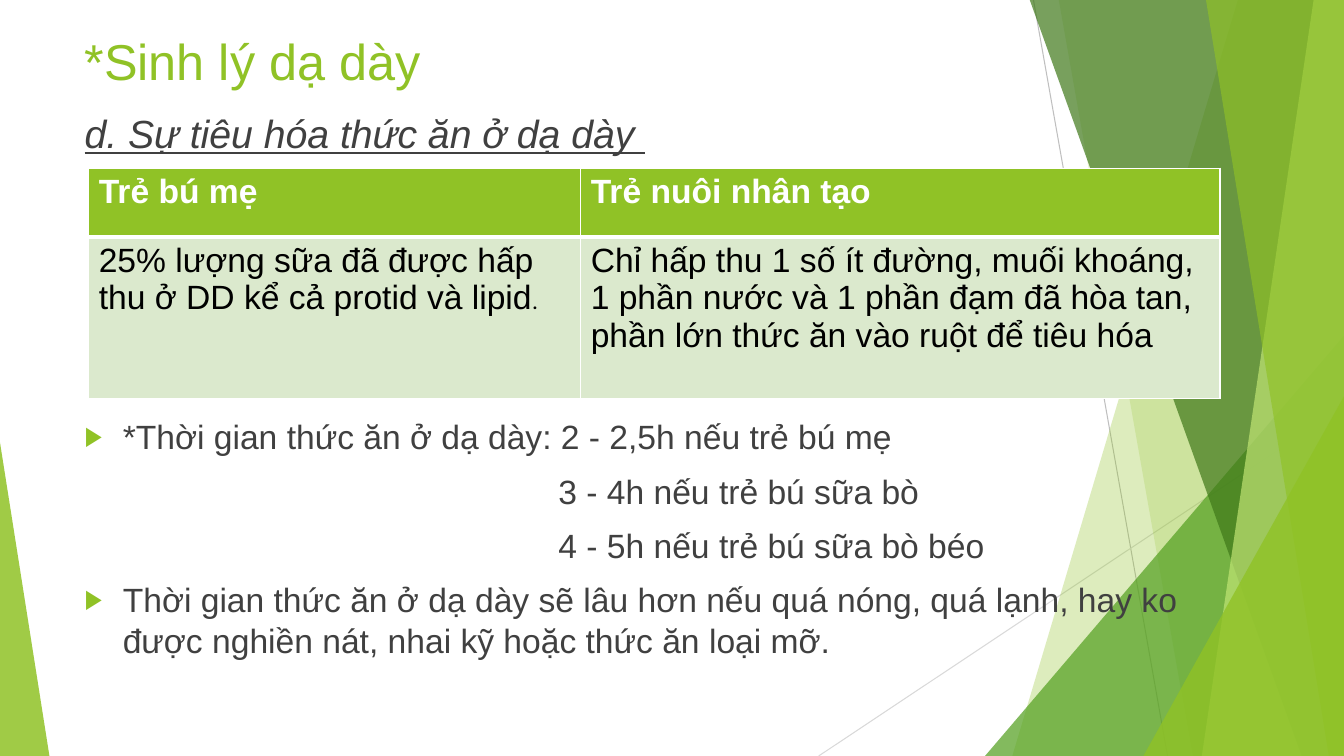
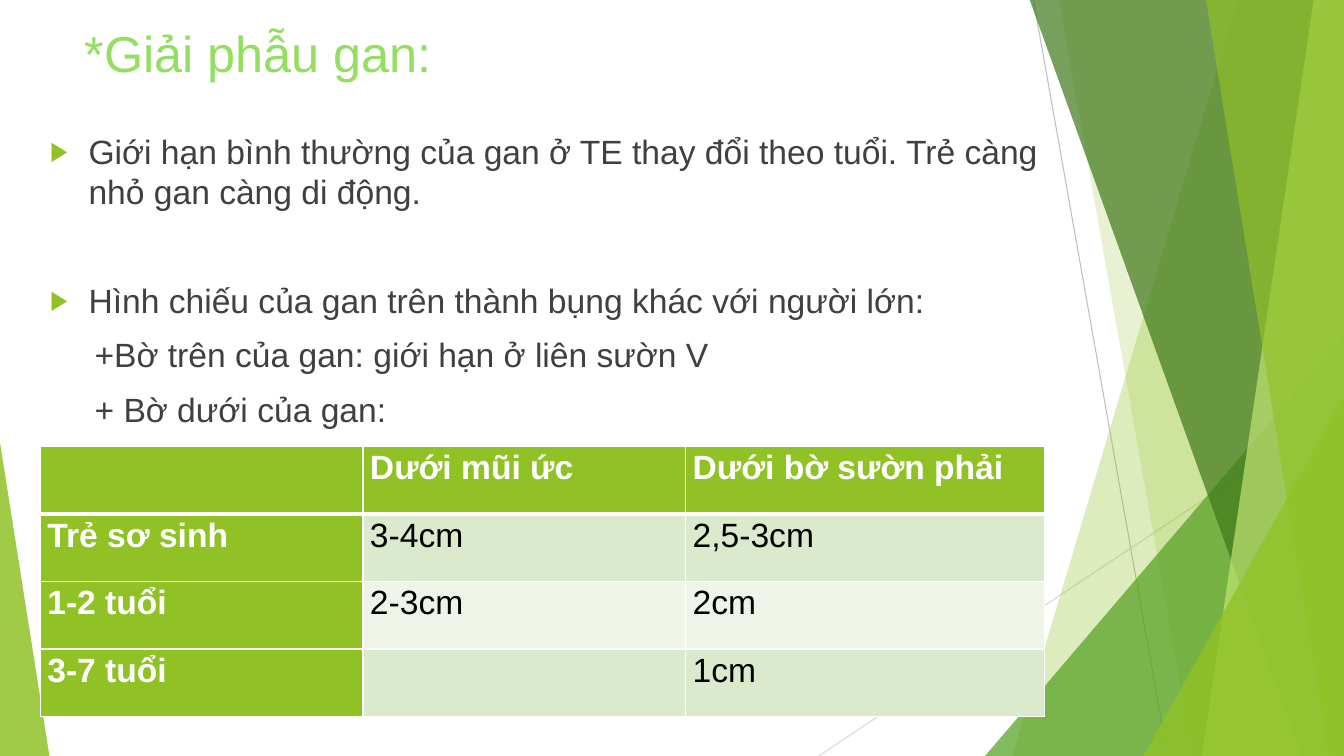
from dataclasses import dataclass

from lxml.etree import SubElement as Sub
from pptx import Presentation
from pptx.dml.color import RGBColor as Rgb
from pptx.enum.shapes import MSO_CONNECTOR as Conn, MSO_SHAPE as Kind
from pptx.enum.text import MSO_ANCHOR as Anchor
from pptx.oxml.ns import qn
from pptx.util import Inches, Pt

HUES = {
    "lime": "90C226", "leaf": "54A021", "moss": "3F7819", "pale": "C0E474",
    "mint": "94DE61", "ink": "404040", "black": "000000", "white": "FFFFFF",
    "tint": "DBE9CD", "haze": "EEF4E8", "gray": "BFBFBF", "mist": "D9D9D9",
}
WIDE, HIGH = 13.33, 7.5


@dataclass
class Band:
    """Slanted strip that reaches the right edge of the slide."""
    top: float
    foot: float
    hue: str
    alpha: int


@dataclass
class Wedge:
    """Triangle that stands on the foot of the slide."""
    left: float
    top: float
    width: float
    peak: float
    hue: str
    alpha: int


@dataclass
class Run:
    text: str
    size: float = 24
    hue: str = "ink"
    bold: bool = False
    slant: bool = False
    under: bool = False
    font: str = "Arial"


@dataclass
class Para:
    runs: list[Run]
    left: float = 0
    first: float = 0
    gap: float = 10
    mark: bool = False
    pitch: float | None = None


@dataclass
class Grid:
    left: float
    top: float
    cols: list[float]
    rows: list[float]
    cells: list[list[list[Run]]]
    inset: tuple[float, float]
    side: bool = False
    pitch: float | None = None


RAYS = [(10.25, 0, 11.58, HIGH, "gray"), (WIDE, 4.03, 8.12, HIGH, "mist")]
PANES = [
    Band(12.28, 10.04, "lime", 30),
    Band(10.5, 11.83, "lime", 20),
    Wedge(9.77, 3.33, 3.56, 1, "leaf", 72),
    Band(10.21, 12.91, "moss", 70),
    Band(13.03, 11.92, "pale", 70),
    Band(11.96, 13.18, "lime", 65),
    Wedge(11.34, 3.93, 1.99, 1, "lime", 80),
    Wedge(0, 4.39, 0.49, 0, "lime", 85),
]


def tone(name: str) -> Rgb:
    return Rgb.from_string(HUES[name])


# Backdrop
def add_ray(slide, x1: float, y1: float, x2: float, y2: float, hue: str) -> None:
    ray = slide.shapes.add_connector(
        Conn.STRAIGHT, Inches(x1), Inches(y1), Inches(x2), Inches(y2))
    ray.line.color.rgb = tone(hue)
    ray.line.width = Pt(0.75)
    Sub(ray._element.spPr, qn("a:effectLst"))


def add_pane(slide, pane: Band | Wedge) -> None:
    if isinstance(pane, Band):
        pen = slide.shapes.build_freeform(Inches(pane.top), Inches(-0.01))
        pen.add_line_segments([(Inches(x), Inches(y)) for x, y in (
            (WIDE, -0.01), (WIDE, HIGH), (pane.foot, HIGH))])
        shape = pen.convert_to_shape()
    else:
        shape = slide.shapes.add_shape(
            Kind.ISOSCELES_TRIANGLE, Inches(pane.left), Inches(pane.top),
            Inches(pane.width), Inches(HIGH - pane.top))
        shape.adjustments[0] = pane.peak
    shape.shadow.inherit = False
    shape.line.fill.background()
    shape.fill.solid()
    shape.fill.fore_color.rgb = tone(pane.hue)
    color = shape._element.spPr.find(qn("a:solidFill"))[0]
    Sub(color, qn("a:alpha"), val=str(pane.alpha * 1000))


def add_page(deck):
    slide = deck.slides.add_slide(deck.slide_layouts[6])
    for ray in RAYS:
        add_ray(slide, *ray)
    for pane in PANES:
        add_pane(slide, pane)
    return slide


# Text
def fill_para(para, item: Para) -> None:
    para.space_before = Pt(item.gap)
    if item.pitch:
        para.line_spacing = item.pitch
    props = para._p.get_or_add_pPr()
    props.set("marL", str(Inches(item.left)))
    props.set("indent", str(Inches(item.first)))
    if item.mark:
        Sub(Sub(props, qn("a:buClr")), qn("a:srgbClr"), val=HUES["lime"])
        Sub(props, qn("a:buSzPct"), val="80000")
        Sub(props, qn("a:buFont"), typeface="Arial")
        Sub(props, qn("a:buChar"), char="▶")
    for part in item.runs:
        run = para.add_run()
        run.text = part.text
        font = run.font
        font.name, font.size = part.font, Pt(part.size)
        font.bold, font.italic, font.underline = part.bold, part.slant, part.under
        font.color.rgb = tone(part.hue)


def add_text(slide, left: float, top: float, width: float, height: float,
             items: list[Para]) -> None:
    box = slide.shapes.add_textbox(
        Inches(left), Inches(top), Inches(width), Inches(height))
    frame = box.text_frame
    frame.word_wrap = True
    for i, item in enumerate(items):
        fill_para(frame.add_paragraph() if i else frame.paragraphs[0], item)


def add_title(slide, text: str, top: float, hue: str) -> None:
    add_text(slide, 0.74, top, 9.4, 0.91, [Para([Run(text, 36, hue)], gap=0)])


def bullet(text: str, gap: float = 10) -> Para:
    return Para([Run(text)], 0.38, -0.38, gap, mark=True)


# Tables
def head(text: str) -> list[Run]:
    return [Run(text, hue="white", bold=True)]


def data(text: str) -> list[Run]:
    return [Run(text, hue="black")]


def add_edges(cell, row: int) -> None:
    props = cell._tc.get_or_add_tcPr()
    widths = {"L": 1, "R": 1, "T": 3 if row == 1 else 1, "B": 1 if row else 3}
    for i, (side, width) in enumerate(widths.items()):
        edge = props.makeelement(qn(f"a:ln{side}"), {"w": str(Pt(width))})
        Sub(Sub(edge, qn("a:solidFill")), qn("a:srgbClr"), val=HUES["white"])
        props.insert(i, edge)


def add_grid(slide, grid: Grid) -> None:
    table = slide.shapes.add_table(
        len(grid.rows), len(grid.cols), Inches(grid.left), Inches(grid.top),
        Inches(sum(grid.cols)), Inches(sum(grid.rows))).table
    for col, width in zip(table.columns, grid.cols):
        col.width = Inches(width)
    for row, height in zip(table.rows, grid.rows):
        row.height = Inches(height)
    for r, line in enumerate(grid.cells):
        for c, runs in enumerate(line):
            cell = table.cell(r, c)
            dark = r == 0 or (grid.side and c == 0)
            cell.fill.solid()
            cell.fill.fore_color.rgb = tone(
                "lime" if dark else "tint" if r % 2 else "haze")
            cell.vertical_anchor = Anchor.TOP
            x, y = grid.inset
            cell.margin_left = cell.margin_right = Inches(x)
            cell.margin_top = cell.margin_bottom = Inches(y)
            fill_para(cell.text_frame.paragraphs[0],
                      Para(runs, gap=0, pitch=grid.pitch))
            add_edges(cell, r)


# Slides
def add_stomach(deck) -> None:
    slide = add_page(deck)
    add_title(slide, "*Sinh lý dạ dày", 0.25, "lime")
    add_text(slide, 0.74, 1.04, 11.64, 0.6, [
        Para([Run("d. Sự tiêu hóa thức ăn ở dạ dày ", 28, slant=True, under=True)])])
    add_text(slide, 0.74, 4.08, 11.64, 3.18, [
        bullet("*Thời gian thức ăn ở dạ dày: 2 - 2,5h nếu trẻ bú mẹ"),
        Para([Run("3 - 4h nếu trẻ bú sữa bò")], 0.38, 4.32),
        Para([Run("4 - 5h nếu trẻ bú sữa bò béo")], 0.38, 4.32),
        bullet("Thời gian thức ăn ở dạ dày sẽ lâu hơn nếu quá nóng, quá lạnh, "
               "hay ko được nghiền nát, nhai kỹ hoặc thức ăn loại mỡ."),
    ])
    milk = data("25% lượng sữa đã được hấp thu ở DD kể cả protid và lipid")
    milk.append(Run(".", 18, "black", font="Roboto"))
    add_grid(slide, Grid(0.88, 1.67, [4.88, 6.34], [0.68, 1.6], [
        [head("Trẻ bú mẹ"), head("Trẻ nuôi nhân tạo")],
        [milk, data("Chỉ hấp thu 1 số ít đường, muối khoáng, 1 phần nước và 1 phần "
                    "đạm đã hòa tan, phần lớn thức ăn vào ruột để tiêu hóa")],
    ], (0.1, 0.05)))


def add_liver(deck) -> None:
    slide = add_page(deck)
    add_title(slide, "*Giải phẫu gan:", 0.17, "mint")
    add_text(slide, 0.4, 1.25, 10.57, 3.1, [
        bullet("Giới hạn bình thường của gan ở TE thay đổi theo tuổi. "
               "Trẻ càng nhỏ gan càng di động."),
        bullet("Hình chiếu của gan trên thành bụng khác với người lớn:", 48.7),
        Para([Run("+Bờ trên của gan: giới hạn ở liên sườn V")], 0.44),
        Para([Run("+ Bờ dưới của gan:")], 0.44),
    ])
    add_grid(slide, Grid(0.4, 4.43, [3.2, 3.2, 3.56], [0.67] * 4, [
        [[], head("Dưới mũi ức"), head("Dưới bờ sườn phải")],
        [head("Trẻ sơ sinh"), data("3-4cm"), data("2,5-3cm")],
        [head("1-2 tuổi"), data("2-3cm"), data("2cm")],
        [head("3-7 tuổi"), [], data("1cm")],
    ], (0.07, 0), side=True, pitch=1.07))


def main() -> None:
    deck = Presentation()
    deck.slide_width, deck.slide_height = Inches(WIDE), Inches(HIGH)
    add_stomach(deck)
    add_liver(deck)
    deck.save("out.pptx")


if __name__ == "__main__":
    main()
